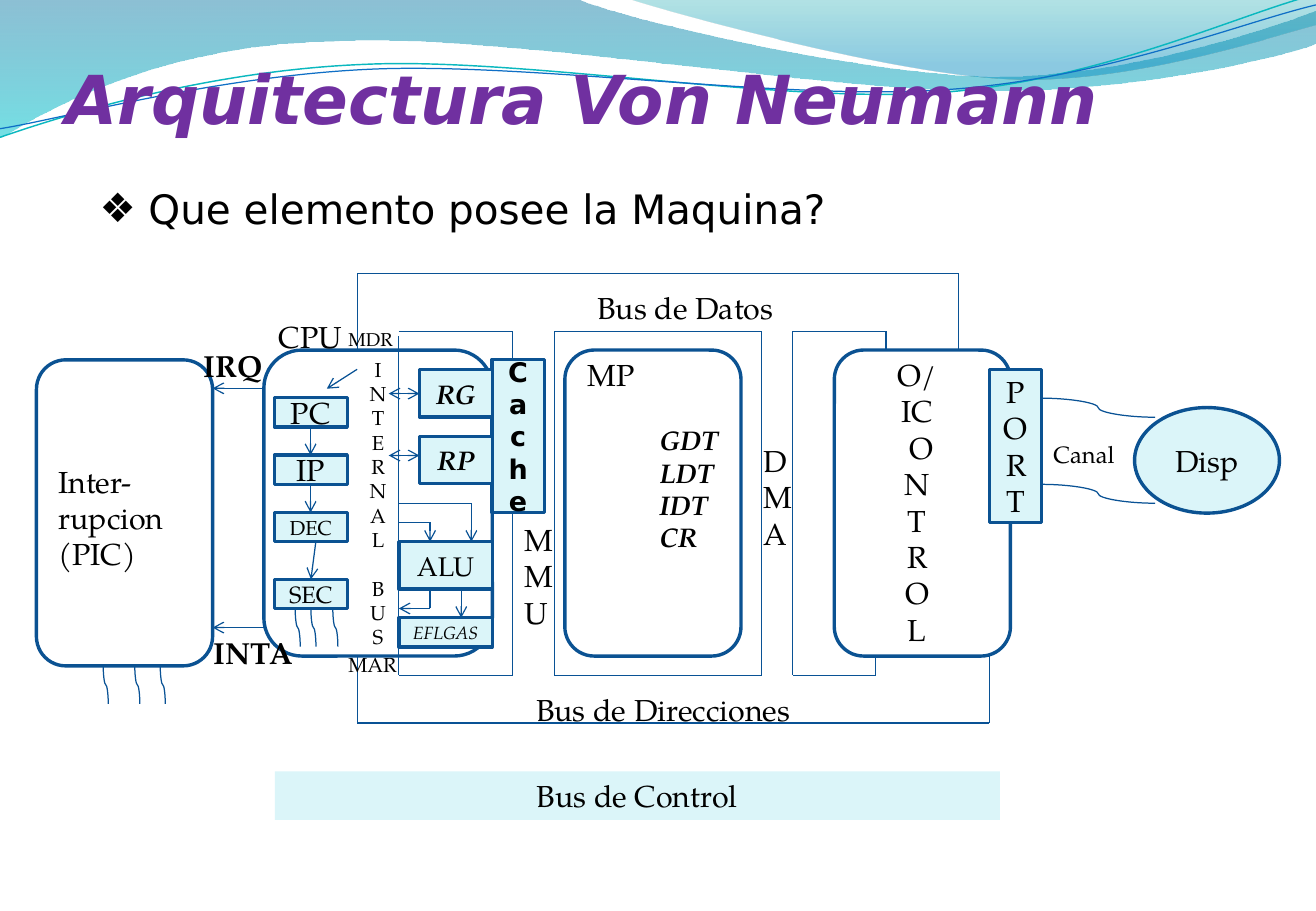
from itertools import pairwise

from lxml import etree
from pptx import Presentation
from pptx.dml.color import RGBColor
from pptx.enum.shapes import MSO_CONNECTOR, MSO_SHAPE
from pptx.enum.text import MSO_ANCHOR, MSO_AUTO_SIZE, PP_ALIGN
from pptx.oxml.ns import qn
from pptx.util import Pt

BLACK = RGBColor(0, 0, 0)
WHITE = RGBColor(255, 255, 255)
PURPLE = RGBColor(0x70, 0x30, 0xA0)
PALE = RGBColor(0xDB, 0xF5, 0xF9)
BORDER = RGBColor(0x0B, 0x52, 0x92)
WIRE = RGBColor(0x09, 0x52, 0x95)
TEAL = RGBColor(0x0A, 0xB8, 0xBF)
BLUE = RGBColor(0x0F, 0x6F, 0xC6)
DEEP_SEA = RGBColor(0x00, 0x74, 0xA1)
AQUA = RGBColor(0x00, 0xC6, 0xCF)
LAGOON = RGBColor(0x00, 0xA1, 0xA9)
SKY = RGBColor(0x00, 0x8B, 0xBF)
SANS, SERIF = "DejaVu Sans", "TeX Gyre Pagella"
LEFT, CENTER = PP_ALIGN.LEFT, PP_ALIGN.CENTER
TOP, MIDDLE, BOTTOM = MSO_ANCHOR.TOP, MSO_ANCHOR.MIDDLE, MSO_ANCHOR.BOTTOM
NO_FIT = MSO_AUTO_SIZE.NONE
RECT, ROUND, OVAL = MSO_SHAPE.RECTANGLE, MSO_SHAPE.ROUNDED_RECTANGLE, MSO_SHAPE.OVAL
STRAIGHT, CURVE = MSO_CONNECTOR.STRAIGHT, MSO_CONNECTOR.CURVE


def write(shape, text, size=18, font=SERIF, color=BLACK, bold=False, italic=False,
          align=LEFT, anchor=TOP, bullet=None, indent=0, gaps=None):
    """Fill a shape with one formatted paragraph per line of text."""
    frame = shape.text_frame
    frame.word_wrap, frame.auto_size, frame.vertical_anchor = True, NO_FIT, anchor
    for index, line in enumerate(text.split("\n")):
        paragraph = frame.add_paragraph() if index else frame.paragraphs[0]
        paragraph.alignment = align
        paragraph.space_before = Pt((gaps or {}).get(index, 0))
        if bullet:
            props = paragraph._p.get_or_add_pPr()
            props.set("marL", str(Pt(indent)))
            props.set("indent", str(-Pt(indent)))
            etree.SubElement(props, qn("a:buFont")).set("typeface", font)
            etree.SubElement(props, qn("a:buChar")).set("char", bullet)
        run = paragraph.add_run()
        run.text = line
        run.font.name, run.font.size, run.font.color.rgb = font, Pt(size), color
        run.font.bold, run.font.italic = bold, italic


def place(shape, box):
    """Move a placeholder to a box and bring it to the front."""
    shape.left, shape.top, shape.width, shape.height = map(Pt, box)
    tree = shape._element.getparent()
    tree.append(shape._element)


def label(slide, box, text, **style):
    """Add a text box."""
    write(slide.shapes.add_textbox(*map(Pt, box)), text, **style)


def block(slide, kind, box, text="", fill=PALE, border=True, **style):
    """Add a filled block with optional centred text."""
    shape = slide.shapes.add_shape(kind, *map(Pt, box))
    shape.shadow.inherit = False
    shape.fill.solid()
    shape.fill.fore_color.rgb = fill
    if border:
        shape.line.color.rgb, shape.line.width = BORDER, Pt(2)
    else:
        shape.line.fill.background()
    if text:
        write(shape, text, **{"align": CENTER, "anchor": MIDDLE, **style})


def connect(slide, start, end, kind=STRAIGHT, head=False, tail=False):
    """Add one thin connector and return it."""
    link = slide.shapes.add_connector(kind, *map(Pt, (*start, *end)))
    link.line.color.rgb, link.line.width = WIRE, Pt(0.75)
    line = link.line._get_or_add_ln()
    for tag, wanted in (("a:headEnd", head), ("a:tailEnd", tail)):
        if wanted:
            etree.SubElement(line, qn(tag)).set("type", "arrow")
    etree.SubElement(link._element.spPr, qn("a:effectLst"))
    return link


def wire(slide, *points, arrow=False):
    """Join points with straight connectors, the last one optionally an arrow."""
    for start, end in pairwise(points):
        connect(slide, start, end, tail=arrow and end == points[-1])


def squiggle(slide, x, y, length=22.6, drift=3):
    """Add a curved lead hanging down from a point."""
    middle_x, middle_y = x + drift / 2, y + length / 2
    lead = connect(slide, (middle_x + length / 2, middle_y - drift / 2),
                   (middle_x - length / 2, middle_y + drift / 2), CURVE)
    lead._element.spPr.find(qn("a:xfrm")).set("rot", "16200000")


def bend(shape, segments):
    """Turn the straight segments of an outline into cubic curves where given."""
    sides = list(shape._element.spPr.iter(qn("a:lnTo")))
    for side, segment in zip(sides, segments):
        if len(segment) == 1:
            continue
        curve = etree.Element(qn("a:cubicBezTo"))
        for x, y in segment:
            point = etree.SubElement(curve, qn("a:pt"))
            point.set("x", str(Pt(x) - shape.left))
            point.set("y", str(Pt(y) - shape.top))
        side.getparent().replace(side, curve)


def wave(slide, start, *segments, stops=None, color=None, width=0.75):
    """Add a gradient wave when stops are given, otherwise a wavy line."""
    builder = slide.shapes.build_freeform(*map(Pt, start), scale=1.0)
    builder.add_line_segments([tuple(map(Pt, segment[-1])) for segment in segments], close=bool(stops))
    shape = builder.convert_to_shape()
    bend(shape, segments)
    shape.shadow.inherit = False
    if not stops:
        shape.fill.background()
        shape.line.color.rgb, shape.line.width = color, Pt(width)
        return
    shape.line.fill.background()
    shape.fill.gradient()
    shape.fill.gradient_angle = 270
    for stop, (position, tint, _) in zip(shape.fill.gradient_stops, stops):
        stop.position, stop.color.rgb = position, tint
    tints = list(shape._element.spPr.iter(qn("a:srgbClr")))
    for tint, (_, _, opacity) in zip(tints, stops):
        etree.SubElement(tint, qn("a:alpha")).set("val", str(opacity * 1000))


def draw_waves(slide):
    """Draw the decorated top edge."""
    wave(slide, (0, 0), ((343, 0),),
         ((370.8, 12.2), (517.7, 45.4), (591.8, 45.4)), ((665.3, 45.4), (747.4, 18.7), (780, 6.5)),
         ((780, 25.9),), ((766.8, 31.7), (678.2, 54.7), (581.8, 54)),
         ((485.3, 54), (298.1, 20.2), (200.9, 24.5)), ((100.8, 25.9), (36, 59.8), (0, 81.4)),
         stops=((0, DEEP_SEA, 45), (1, AQUA, 55)))
    wave(slide, (373.7, 0), ((397.4, 7.9), (532.1, 44.6), (599.8, 46.8)),
         ((667.4, 49.7), (750.2, 23), (780, 15.1)), ((780, 0),),
         stops=((0, LAGOON, 30), (0.8, SKY, 45)))
    wave(slide, (0, 81.4), ((37.4, 68.4), (123.1, 41.8), (216, 38.2)),
         ((308.2, 33.8), (462.2, 61.5), (555.8, 55)), ((649.4, 48.5), (732.2, 9.4), (778.3, -2.9)),
         color=TEAL, width=0.85)
    wave(slide, (0, 76.3), ((36.7, 70.6), (127.4, 45), (221, 41)),
         ((313.9, 37), (465.8, 59.8), (558.7, 53.3)), ((652.3, 47.5), (734.4, 13.7), (780, 2.9)),
         color=BLUE)


def draw_units(slide):
    """Draw the main units and the buses between them."""
    wire(slide, (236.4, 196.4), (303.8, 196.4), (303.8, 400.3), (236.4, 400.3))
    wire(slide, (568.1, 207.4), (568.1, 162), (211.7, 162), (211.7, 428.6), (586.5, 428.6), (586.5, 388.8))
    block(slide, ROUND, (21.6, 213.3, 104.4, 181.4), fill=WHITE)
    block(slide, ROUND, (156.4, 207.5, 135.4, 181.4), "\n".join("INTERNALBUS"),
          fill=WHITE, size=12, gaps={8: 14.5})
    for left in (334.8, 494.5):
        block(slide, ROUND, (left, 207.5, 104.4, 181.4), fill=WHITE)
    wire(slide, (236.4, 199.4), (236.4, 400.3))
    wire(slide, (328.6, 196.4), (451.4, 196.4), (451.4, 400.3), (328.6, 400.3), (328.6, 196.4))
    wire(slide, (525.1, 207.4), (525.1, 196.4), (469.9, 196.4), (469.9, 400.3), (519.1, 400.3), (519.1, 388.8))


def draw_parts(slide):
    """Draw the registers, ports and devices."""
    block(slide, RECT, (586.5, 218.9, 31, 90.7), "PORT")
    block(slide, RECT, (291.6, 213.1, 31, 90.7), "Ca\nche", size=16, font=SANS, bold=True)
    block(slide, OVAL, (672.5, 241.6, 85.9, 62.6), "Disp")
    for top, name in ((219.1, "RG"), (258.7, "RP")):
        block(slide, RECT, (248.6, top, 43.2, 28.1), name, size=16, bold=True, italic=True)
    block(slide, RECT, (236.4, 321.1, 55.4, 28.1), "ALU", size=16)
    block(slide, RECT, (236.4, 366.2, 55.4, 17.3), "EFLGAS", size=10.5, italic=True)
    for top, name, size in ((235.8, "PC", 18), (269.8, "IP", 18), (303.8, "DEC", 12), (343.4, "SEC", 14)):
        block(slide, RECT, (162.7, top, 43.2, 17.3), name, size=size)
    block(slide, RECT, (162.9, 457.2, 429.8, 28.8), "Bus de Control", border=False, anchor=TOP)


def draw_signals(slide):
    """Draw the arrows and the curved leads."""
    for route in (
        ((236.4, 309.6), (254.9, 309.6), (254.9, 321.1)),
        ((236.4, 298.3), (279.4, 298.3), (279.4, 321.1)),
        ((254.9, 349.2), (254.9, 360.7), (236.4, 360.7)),
        ((273.4, 349.2), (273.4, 366.2)),
        ((211.7, 218.9), (193.7, 230.4)),
        ((184.1, 253.1), (184.1, 269.8)),
        ((184.1, 287.1), (184.1, 303.8)),
        ((187.2, 321.1), (184.3, 343.4)),
        ((156.4, 372), (126, 372)),
        ((156.4, 230.2), (126, 230.2)),
    ):
        wire(slide, *route, arrow=True)
    for y in (233.3, 270):
        connect(slide, (230.4, y), (248.6, y), head=True, tail=True)
    for top, bottom in ((236, 247.3), (287.1, 298.3)):
        connect(slide, (617.3, top), (684.7, bottom), CURVE)
    for y, leads in ((360.7, (175, 184.3, 197.3)), (394.6, (61.2, 79.9, 95))):
        for x in leads:
            squiggle(slide, x, y)


def draw_labels(slide):
    """Name the units, buses and signals."""
    label(slide, (138, 185, 92.2, 28.8), "CPU", align=CENTER)
    label(slide, (316.1, 207.4, 92.2, 28.8), "MP", align=CENTER)
    label(slide, (519.1, 207.4, 49, 181.4), "O/IC\n O\nN\nT\nR\nO\nL", align=CENTER)
    label(slide, (27.4, 270.7, 92.2, 72.7), "Inter-rupcion (PIC)")
    label(slide, (617.3, 257, 55.4, 24.5), "Canal", size=14)
    label(slide, (383.8, 247.7, 55.4, 85), "GDT\nLDT\nIDT\nCR", size=16, bold=True, italic=True)
    label(slide, (445.2, 258.5, 24.5, 72.7), "DMA")
    label(slide, (303.8, 305.3, 24.5, 72.7), "MMU")
    label(slide, (254.9, 406.1, 276.5, 28.8), "Bus de Direcciones", align=CENTER)
    label(slide, (268, 167.8, 276.5, 28.8), "Bus de Datos", align=CENTER)
    label(slide, (113.8, 202.3, 67.7, 28.8), "IRQ", bold=True)
    label(slide, (119.5, 372.2, 67.7, 28.8), "INTA", bold=True)
    label(slide, (199.4, 190.8, 79.9, 20.9), "MDR", size=11)
    label(slide, (199.4, 383, 67.7, 21.6), "MAR", size=12)


def main():
    """Build and save the slide."""
    deck = Presentation()
    deck.slide_width, deck.slide_height = Pt(780), Pt(540)
    slide = deck.slides.add_slide(deck.slide_layouts[1])
    draw_waves(slide)
    title, question = slide.placeholders
    place(title, (38.9, 31.7, 708.5, 50.4))
    frame = title.text_frame
    frame.margin_left = frame.margin_right = frame.margin_bottom = Pt(0)
    write(title, "Arquitectura Von Neumann", size=40, font=SANS, color=PURPLE,
          bold=True, italic=True, anchor=BOTTOM)
    place(question, (51.8, 105.4, 687.6, 36))
    write(question, "Que elemento posee la Maquina?", size=24, font=SANS, bullet="❖", indent=29)
    draw_units(slide)
    draw_parts(slide)
    draw_signals(slide)
    draw_labels(slide)
    deck.save("out.pptx")


if __name__ == "__main__":
    main()
